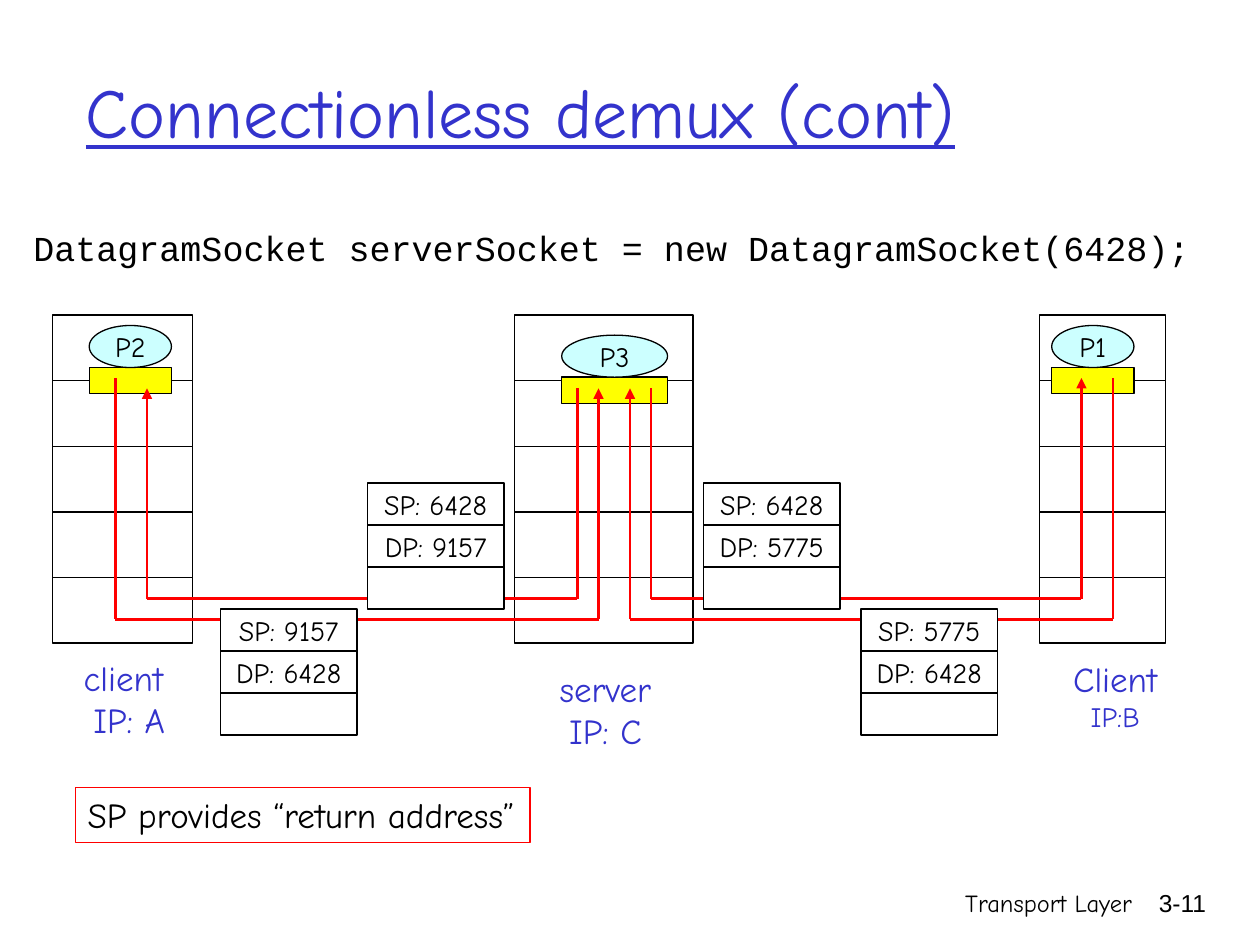
"""Build the slide "Connectionless demux (cont)"."""
from lxml import etree
from pptx import Presentation
from pptx.dml.color import RGBColor
from pptx.enum.shapes import MSO_CONNECTOR, MSO_SHAPE
from pptx.enum.text import MSO_ANCHOR, PP_ALIGN
from pptx.oxml.ns import qn
from pptx.util import Pt

RECTANGLE, OVAL = MSO_SHAPE.RECTANGLE, MSO_SHAPE.OVAL
STRAIGHT = MSO_CONNECTOR.STRAIGHT
TOP, MIDDLE = MSO_ANCHOR.TOP, MSO_ANCHOR.MIDDLE
LEFT, CENTER, RIGHT = PP_ALIGN.LEFT, PP_ALIGN.CENTER, PP_ALIGN.RIGHT
BLACK, WHITE, BLUE, RED = "000000", "FFFFFF", "3333CC", "FF0000"
YELLOW, CYAN = "FFFF00", "CCFFFF"
HAND, SANS, MONO = "Comic Neue", "Arial", "Courier New"
color = RGBColor.from_string


def add_box(kind, left, top, width, height, fill=WHITE, line=BLACK):
    box = slide.shapes.add_shape(kind, Pt(left), Pt(top), Pt(width), Pt(height))
    box.shadow.inherit = False
    if fill:
        box.fill.solid()
        box.fill.fore_color.rgb = color(fill)
    else:
        box.fill.background()
    box.line.color.rgb = color(line)
    box.line.width = Pt(0.75)
    return box


def write(box, lines, font=HAND, ink=BLACK, align=CENTER, anchor=TOP, wrap=False):
    frame = box.text_frame
    frame.word_wrap = wrap
    frame.vertical_anchor = anchor
    for index, (text, size) in enumerate(lines):
        para = frame.add_paragraph() if index else frame.paragraphs[0]
        para.alignment = align
        span = para.add_run()
        span.text = text
        span.font.size = Pt(size)
        span.font.name = font
        span.font.color.rgb = color(ink)
    return frame


deck = Presentation()
deck.slide_width, deck.slide_height = Pt(720), Pt(540)
slide = deck.slides.add_slide(deck.slide_layouts[6])

footers = [("Transport Layer", HAND, 426, 228), ("3-11", SANS, 643, 53.3)]
for text, font, left, width in footers:
    box = slide.shapes.add_textbox(Pt(left), Pt(504), Pt(width), Pt(36))
    write(box, [(text, 14)], font, align=RIGHT, wrap=True)

title = slide.shapes.add_textbox(Pt(42), Pt(18), Pt(612), Pt(90))
title_frame = write(title, [("Connectionless demux (cont)", 40)], ink=BLUE,
                    align=LEFT, anchor=MIDDLE, wrap=True)
title_frame.paragraphs[0].runs[0].font.underline = True

code = slide.shapes.add_textbox(Pt(12), Pt(126), Pt(684), Pt(48))
code_text = "DatagramSocket serverSocket = new DatagramSocket(6428);"
code_frame = write(code, [(code_text, 20)], MONO, align=LEFT, wrap=True)
code_frame.paragraphs[0].space_before = Pt(5)

# host: stack left and width, process name, left, top and width, label lines and place
hosts = [
    (30, 80, "P2", 51, 186, 47, [("client", 20), (" IP: A", 20)], (39.5, 371.5, 62, 55.5)),
    (594, 72, "P1", 601, 186, 47, [("Client", 20), ("IP:B", 16)], (606, 372, 62.5, 50.5)),
    (294, 102, "P3", 321, 191.5, 60.5, [("server", 20), ("IP: C", 20)], (312.5, 378, 67, 55.5)),
]
layer_height = 37.5
for left, width, process, port_left, port_top, port_width, label, place in hosts:
    for layer in range(5):
        add_box(RECTANGLE, left, 180 + layer * layer_height, width, layer_height)
    add_box(RECTANGLE, port_left, port_top + 24, port_width, 15, YELLOW)
    oval = add_box(OVAL, port_left, port_top, port_width, 24, CYAN)
    write(oval, [(process, 16)], anchor=MIDDLE)
    write(slide.shapes.add_textbox(*map(Pt, place)), label, ink=BLUE)

routes = [(66, 216, 354, 342, 222), (330, 222, 342, 84, 222),
          (372, 222, 342, 618, 216), (636, 216, 354, 360, 222)]
for start_x, start_y, lane_y, end_x, end_y in routes:
    corners = [(start_x, start_y), (start_x, lane_y), (end_x, lane_y), (end_x, end_y)]
    for begin, end in zip(corners, corners[1:]):
        wire = slide.shapes.add_connector(STRAIGHT, *map(Pt, begin + end))
        wire.line.color.rgb = color(RED)
        wire.line.width = Pt(1.5)
        properties = wire.element.spPr
        etree.SubElement(properties, qn("a:effectLst"))
        if end == corners[-1]:
            etree.SubElement(properties.find(qn("a:ln")), qn("a:tailEnd"), type="triangle")

packets = [(210, 276, 6428, 9157), (126, 348, 9157, 6428),
           (402, 276, 6428, 5775), (492, 348, 5775, 6428)]
for left, top, source, destination in packets:
    for row, text in enumerate([f"SP: {source}", f"DP: {destination}", ""]):
        field = add_box(RECTANGLE, left, top + row * 24, 78, 24)
        if text:
            write(field, [(text, 16)], anchor=MIDDLE)

note = add_box(RECTANGLE, 43, 450, 260, 31.5, None, RED)
write(note, [("SP provides “return address”", 20)], align=LEFT)

deck.save("out.pptx")
